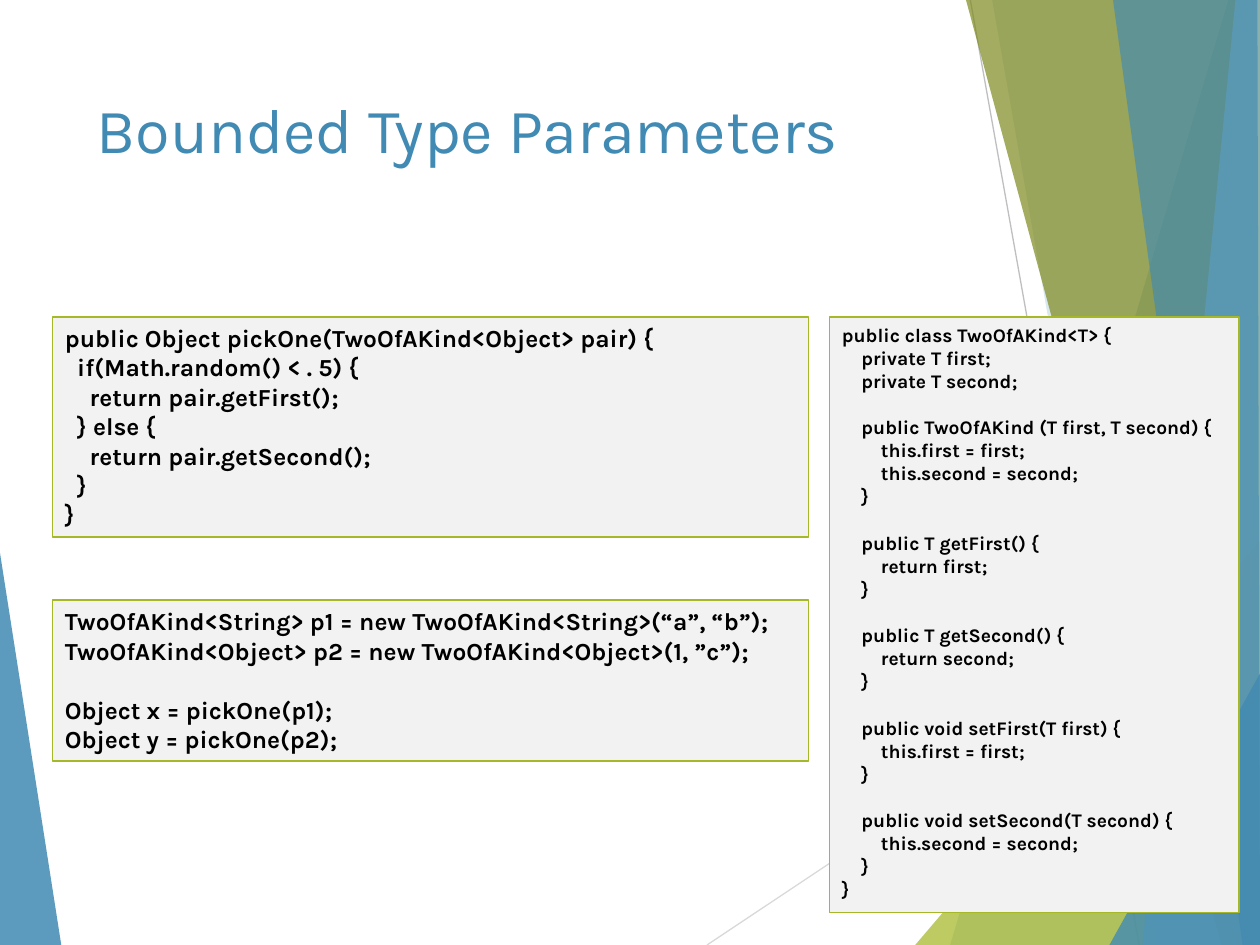
from dataclasses import dataclass

from lxml import etree
from pptx import Presentation
from pptx.dml.color import RGBColor
from pptx.enum.shapes import MSO_CONNECTOR, MSO_SHAPE
from pptx.enum.text import MSO_ANCHOR, MSO_AUTO_SIZE, PP_ALIGN
from pptx.oxml.ns import qn
from pptx.util import Pt

STRAIGHT = MSO_CONNECTOR.STRAIGHT
RECTANGLE = MSO_SHAPE.RECTANGLE
TOP = MSO_ANCHOR.TOP
LEFT = PP_ALIGN.LEFT
FIXED_SIZE = MSO_AUTO_SIZE.NONE

WIDTH, HEIGHT = 720, 540


@dataclass(frozen=True)
class Theme:
    font: str = "Karla"
    blue: str = "418AB3"
    pale_blue: str = "8ABAD4"
    green: str = "A6B727"
    olive: str = "7D891D"
    panel: str = "F2F2F2"
    ink: str = "000000"
    light_rule: str = "D9D9D9"
    dark_rule: str = "BFBFBF"
    title_size: float = 36
    code_size: float = 14
    small_code_size: float = 11
    line_height: float = 1.2


THEME = Theme()

# Decorative facets: colour, opacity in percent, corner points
LEFT_FACET = (THEME.blue, 85, [(0, 316), (35, HEIGHT), (0, HEIGHT)])
RIGHT_FACETS = [
    (THEME.blue, 30, [(702, 0), (543, HEIGHT), (WIDTH, HEIGHT), (WIDTH, 0)]),
    (THEME.blue, 20, [(567, 0), (662, HEIGHT), (WIDTH, HEIGHT), (WIDTH, 0)]),
    (THEME.green, 72, [(523, HEIGHT), (WIDTH, 309), (WIDTH, HEIGHT)]),
    (THEME.olive, 70, [(552, 0), (698, HEIGHT), (WIDTH, HEIGHT), (WIDTH, 0)]),
    (THEME.pale_blue, 70, [(706, 0), (653, HEIGHT), (WIDTH, HEIGHT), (WIDTH, 0)]),
    (THEME.blue, 65, [(636, 0), (710, HEIGHT), (WIDTH, HEIGHT), (718.5, 0)]),
    (THEME.blue, 80, [(634, HEIGHT), (WIDTH, 385), (WIDTH, HEIGHT)]),
]

PICK_ONE = """public Object pickOne(TwoOfAKind<Object> pair) {
  if(Math.random() < . 5) {
    return pair.getFirst();
  } else {
    return pair.getSecond();
  }
}"""

USAGE = """TwoOfAKind<String> p1 = new TwoOfAKind<String>(“a”, “b”);
TwoOfAKind<Object> p2 = new TwoOfAKind<Object>(1, ”c”);

Object x = pickOne(p1);
Object y = pickOne(p2);"""

PAIR_CLASS = """public class TwoOfAKind<T> {
    private T first;
    private T second;

    public TwoOfAKind (T first, T second) {
        this.first = first;
        this.second = second;
    }

    public T getFirst() {
        return first;
    }

    public T getSecond() {
        return second;
    }

    public void setFirst(T first) {
        this.first = first;
    }

    public void setSecond(T second) {
        this.second = second;
    }
}"""


def rgb(value):
    return RGBColor.from_string(value)


def add_facet(page, color, opacity, points):
    corners = [(Pt(x), Pt(y)) for x, y in points]
    builder = page.shapes.build_freeform(*corners[0], scale=1.0)
    builder.add_line_segments(corners[1:], close=True)
    facet = builder.convert_to_shape()
    facet.shadow.inherit = False
    facet.fill.solid()
    facet.fill.fore_color.rgb = rgb(color)
    facet.line.fill.background()
    color_node = next(facet.fill._xPr.iter(qn("a:srgbClr")))
    etree.SubElement(color_node, qn("a:alpha"), val=str(opacity * 1000))


def add_rule(page, start, end, color):
    rule = page.shapes.add_connector(STRAIGHT, *map(Pt, start + end))
    rule.line.color.rgb = rgb(color)
    rule.line.width = Pt(0.75)
    etree.SubElement(rule._element.spPr, qn("a:effectLst"))


def write_text(frame, text, *, size, color, bold=False):
    """Write one paragraph per line; an empty line becomes space before the next."""
    frame.word_wrap = True
    frame.auto_size = FIXED_SIZE
    frame.vertical_anchor = TOP
    para, gap = frame.paragraphs[0], 0
    for number, line in enumerate(text.split("\n")):
        if not line:
            gap = size * THEME.line_height
            continue
        if number:
            para = frame.add_paragraph()
        para.alignment = LEFT
        para.space_before = Pt(gap)
        gap = 0
        span = para.add_run()
        span.text = line
        span.font.name = THEME.font
        span.font.size = Pt(size)
        span.font.bold = bold
        span.font.color.rgb = rgb(color)


def add_title(page, text):
    title = page.shapes.title
    title.left, title.top, title.width, title.height = map(Pt, (48, 48, 500, 104))
    write_text(title.text_frame, text, size=THEME.title_size, color=THEME.blue)


def add_code(page, code, left, top, width, height, *, size):
    box = page.shapes.add_shape(RECTANGLE, *map(Pt, (left, top, width, height)))
    box.shadow.inherit = False
    box.fill.solid()
    box.fill.fore_color.rgb = rgb(THEME.panel)
    box.line.color.rgb = rgb(THEME.green)
    box.line.width = Pt(1)
    write_text(box.text_frame, code, size=size, color=THEME.ink, bold=True)


def main():
    deck = Presentation()
    deck.slide_width, deck.slide_height = Pt(WIDTH), Pt(HEIGHT)
    page = deck.slides.add_slide(deck.slide_layouts[5])

    # Background decoration
    add_facet(page, *LEFT_FACET)
    add_rule(page, (404, HEIGHT), (WIDTH, 329.5), THEME.light_rule)
    add_rule(page, (554.5, 0), (651, HEIGHT), THEME.dark_rule)
    for facet in RIGHT_FACETS:
        add_facet(page, *facet)

    # Title and code panels
    add_title(page, "Bounded Type Parameters")
    add_code(page, PICK_ONE, 30, 181, 432, 126, size=THEME.code_size)
    add_code(page, PAIR_CLASS, 474, 181, 234, 340.5, size=THEME.small_code_size)
    add_code(page, USAGE, 30, 343, 432, 92, size=THEME.code_size)

    deck.save("out.pptx")


if __name__ == "__main__":
    main()
